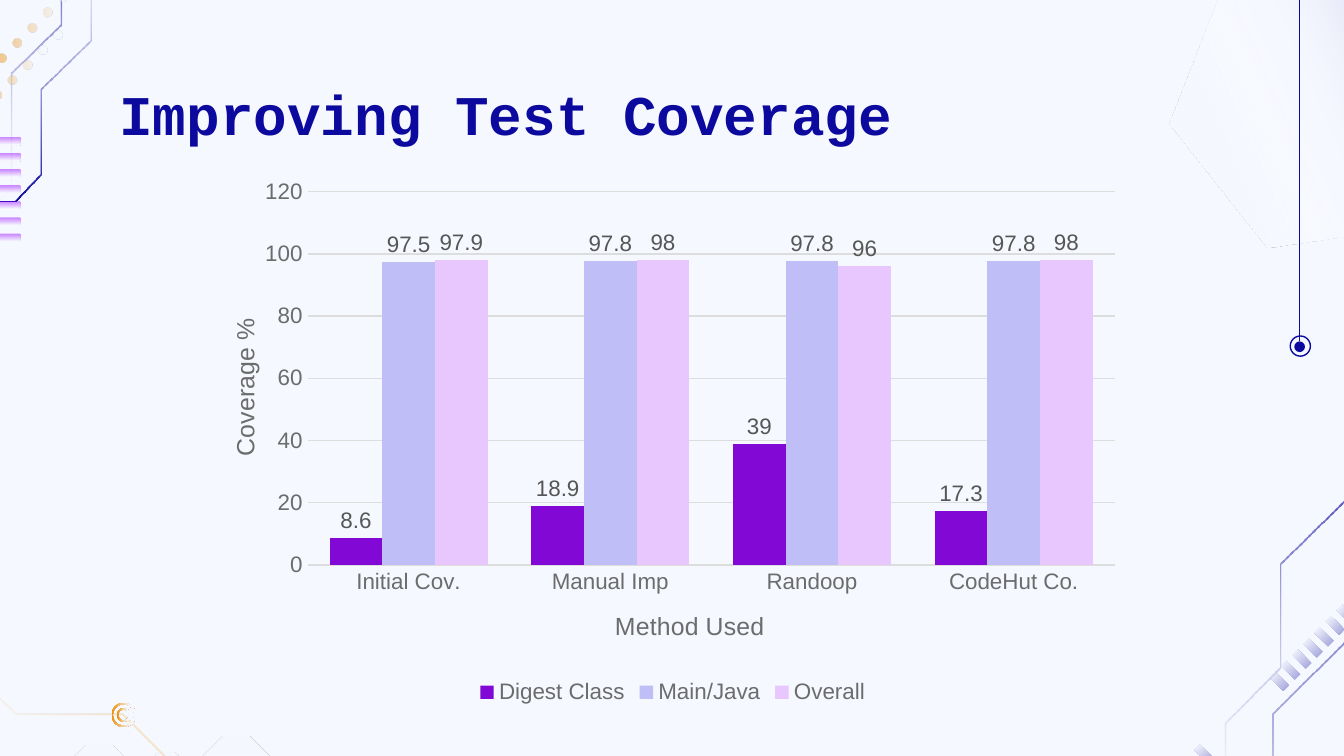
from math import cos, pi, sin

from lxml import etree
from pptx import Presentation
from pptx import util as u
from pptx.chart import data as chart_data
from pptx.dml.color import RGBColor
from pptx.enum import chart as chart_enum
from pptx.enum import shapes, text
from pptx.oxml import parse_xml
from pptx.oxml import ns

NAVY = RGBColor(0x0C, 0x0A, 0x9E)
PALE = RGBColor(0xF5, 0xF8, 0xFF)
WHITE = RGBColor(0xFF, 0xFF, 0xFF)
ORANGE = RGBColor(0xEB, 0x91, 0x09)
AMBER = RGBColor(0xFF, 0x99, 0x00)
VIOLET = RGBColor(0x99, 0x00, 0xFF)
PURPLE = RGBColor(0x82, 0x08, 0xD5)
LAVENDER = RGBColor(0xBF, 0xBE, 0xF7)
PINK = RGBColor(0xE7, 0xC7, 0xFD)
GRID = RGBColor(0xDD, 0xDD, 0xDD)
AXIS_GREY = RGBColor(0x6C, 0x6C, 0x6C)
LABEL_GREY = RGBColor(0x56, 0x56, 0x56)

NAVY_FADE = [(0, NAVY, 100), (100, WHITE, 0)]
NAVY_SOFT = [(0, NAVY, 37), (100, WHITE, 37)]
VIOLET_SOFT = [(0, VIOLET, 47), (100, WHITE, 47)]
ORANGE_FADE = [(0, ORANGE, 100), (40, AMBER, 41), (100, WHITE, 0)]
ORANGE_RING = [(0, ORANGE, 100), (78, PALE, 100), (100, PALE, 100)]
ORANGE_SOFT = [(0, ORANGE, 47), (78, PALE, 47), (100, PALE, 47)]
GLASS = [(0, PALE, 100), (22, PALE, 100), (45, WHITE, 0), (100, NAVY, 50)]


def put_text(frame, words, font="Arial", size=12, color=AXIS_GREY, bold=False):
    para = frame.paragraphs[0]
    span = para.add_run()
    span.text = words
    span.font.name = font
    span.font.size = u.Pt(size)
    span.font.bold = bold
    span.font.color.rgb = color


def add_outline(contours, stops, angle):
    scaled = [[(u.Inches(x), u.Inches(y)) for x, y in contour] for contour in contours]
    builder = page.shapes.build_freeform(*scaled[0][0])
    builder.add_line_segments(scaled[0][1:], close=True)
    for contour in scaled[1:]:
        builder.move_to(*contour[0])
        builder.add_line_segments(contour[1:], close=True)
    shape = builder.convert_to_shape()
    shape.shadow.inherit = False
    shape.line.fill.background()
    shape.fill.background()
    marks = "".join(
        f'<a:gs pos="{place * 1000}"><a:srgbClr val="{color}"><a:alpha val="{alpha * 1000}"/></a:srgbClr></a:gs>'
        for place, color, alpha in stops
    )
    gradient = parse_xml(
        f'<a:gradFill {ns.nsdecls("a")} rotWithShape="1"><a:gsLst>{marks}</a:gsLst>'
        f'<a:lin ang="{int(angle * 60000)}" scaled="0"/></a:gradFill>'
    )
    properties = shape.element.spPr
    properties.replace(properties.find(ns.qn("a:noFill")), gradient)


deck = Presentation()
deck.slide_width = u.Inches(10)
deck.slide_height = u.Inches(5.625)
page = deck.slides.add_slide(deck.slide_layouts[6])
page.background.fill.solid()
page.background.fill.fore_color.rgb = PALE

hexagon = [(8.7, 0.92), (9.43, 1.84), (10.59, 1.67), (11.03, 0.58), (10.29, -0.35), (9.13, -0.17)]
add_outline([hexagon], GLASS, 336.5)

wire = page.shapes.add_connector(
    shapes.MSO_CONNECTOR.STRAIGHT, u.Inches(9.67), u.Inches(-2.34), u.Inches(9.67), u.Inches(2.54)
)
wire.line.color.rgb = NAVY
wire.line.width = u.Pt(0.75)
etree.SubElement(wire.element.spPr, ns.qn("a:effectLst"))
for left, top, size, filled in [(9.6, 2.5, 0.15, False), (9.63, 2.54, 0.08, True)]:
    node = page.shapes.add_shape(
        shapes.MSO_SHAPE.OVAL, u.Inches(left), u.Inches(top), u.Inches(size), u.Inches(size)
    )
    node.shadow.inherit = False
    if filled:
        node.fill.solid()
        node.fill.fore_color.rgb = NAVY
        node.line.fill.background()
    else:
        node.fill.background()
        node.line.color.rgb = NAVY
        node.line.width = u.Pt(0.75)

for x, y, radius, cut in [(0.74, 5.85, 0.3, 0.1), (1.24, 5.78, 0.18, 0.06), (1.76, 5.78, 0.3, 0.1)]:
    corners = [(-cut, -radius), (cut, -radius), (radius, -cut), (radius, cut),
               (cut, radius), (-cut, radius), (-radius, cut), (-radius, -cut)]
    add_outline([[(x + dx, y + dy) for dx, dy in corners]], GLASS, 90)

traces = [
    ([(11.01, 3.08), (10.08, 4.01), (10.08, 4.69), (9.46, 5.31), (9.46, 5.62), (9.37, 5.71), (9.37, 5.88),
      (8.99, 6.26), (8.99, 6.61), (8.74, 6.85), (8.74, 7.1), (8.12, 7.72), (7.18, 7.72), (6.64, 8.27)],
     0.01, NAVY_FADE, 90),
    ([(10.87, 3.06), (10.36, 3.57), (10.15, 3.57), (9.52, 4.19), (9.52, 4.96), (9.11, 5.37), (9.11, 5.72),
      (8.71, 6.11), (7.96, 6.11), (7.68, 6.39)], 0.01, NAVY_FADE, 90),
    ([(2.84, 6.18), (2.44, 5.77), (1.38, 5.77), (0.92, 5.31), (0.13, 5.31), (-0.12, 5.07), (-0.12, 4.63),
      (-0.26, 4.63)], -0.01, ORANGE_FADE, 135),
    ([(0.99, -0.65), (0.65, -0.65), (0.45, -0.45), (0.45, 0.18), (0.08, 0.54), (0.08, 1.39), (-0.24, 1.71)],
     0.01, NAVY_FADE, 90),
    ([(1, -0.87), (0.67, -0.55), (0.67, 0.3), (0.3, 0.66), (0.3, 1.29), (0.11, 1.49), (-0.24, 1.49)],
     0.01, NAVY_FADE, 270),
]
for route, shift, stops, angle in traces:
    other_side = [(x + shift, y + 0.01) for x, y in reversed(route)]
    add_outline([route + other_side], stops, angle)

for x, y in [(8.89, 5.54)] + [(9.45 + 0.083 * step, 5 - 0.083 * step) for step in range(7)]:
    tile = [(x + 0.04, y), (x, y + 0.04), (x + 0.1, y + 0.14), (x + 0.14, y + 0.1)]
    add_outline([tile], NAVY_SOFT, 225)

for step in range(7):
    top = 1.02 + 0.12 * step
    add_outline([[(-0.18, top), (0.15, top), (0.15, top + 0.06), (-0.18, top + 0.06)]], VIOLET_SOFT, 90)

circle_groups = [
    ([(0.92, 5.32, 0.09), (0.92, 5.32, 0.08)], ORANGE_RING),
    ([(0.92, 5.32, 0.05), (0.92, 5.32, 0.04)], ORANGE_RING),
]
for x, y in [(0.43, 0.26), (0.58, -0.13)]:
    circle_groups.append(([(x - 0.112 * step, y + 0.112 * step, 0.035) for step in range(6)], ORANGE_SOFT))
turns = [2 * pi * step / 24 for step in range(24)]
for circles, stops in circle_groups:
    add_outline([[(x + r * cos(a), y + r * sin(a)) for a in turns] for x, y, r in circles], stops, 0)

title = page.shapes.add_textbox(u.Inches(0.79), u.Inches(0.49), u.Inches(8.43), u.Inches(0.63))
title.text_frame.word_wrap = True
title.text_frame.vertical_anchor = text.MSO_ANCHOR.TOP
title.text_frame.margin_top = u.Inches(0.1)
title.text_frame.margin_bottom = u.Inches(0.1)
put_text(title.text_frame, "Improving Test Coverage", font="Courier New", size=30, color=NAVY, bold=True)

coverage = chart_data.CategoryChartData()
coverage.categories = ["Initial Cov.", "Manual Imp", "Randoop", "CodeHut Co."]
coverage.add_series("Digest Class", [8.6, 18.9, 39, 17.3])
coverage.add_series("Main/Java", [97.5, 97.8, 97.8, 97.8])
coverage.add_series("Overall", [97.9, 98, 96, 98])
chart = page.shapes.add_chart(
    chart_enum.XL_CHART_TYPE.COLUMN_CLUSTERED,
    u.Inches(1.67), u.Inches(1.11), u.Inches(6.67), u.Inches(4.17), coverage,
).chart
chart.has_title = False
chart.font.name = "Arial"
chart.font.size = u.Pt(12)
chart.font.color.rgb = AXIS_GREY
chart.has_legend = True
chart.legend.position = chart_enum.XL_LEGEND_POSITION.BOTTOM
chart.legend.include_in_layout = False

for axis, words in [(chart.category_axis, "Method Used"), (chart.value_axis, "Coverage %")]:
    put_text(axis.axis_title.text_frame, words, size=13.3)
    axis.major_tick_mark = chart_enum.XL_TICK_MARK.NONE
    axis.minor_tick_mark = chart_enum.XL_TICK_MARK.NONE
chart.category_axis.format.line.color.rgb = GRID
chart.category_axis.format.line.width = u.Pt(0.75)
chart.value_axis.format.line.fill.background()
chart.value_axis.major_gridlines.format.line.color.rgb = GRID
chart.value_axis.major_gridlines.format.line.width = u.Pt(0.75)
chart.value_axis.minimum_scale = 0
chart.value_axis.maximum_scale = 120
chart.value_axis.major_unit = 20

plot = chart.plots[0]
plot.gap_width = 83
plot.overlap = 0
plot.vary_by_categories = False
for series, color in zip(plot.series, [PURPLE, LAVENDER, PINK]):
    series.format.fill.solid()
    series.format.fill.fore_color.rgb = color
    labels = series.data_labels
    labels.show_value = True
    labels.position = chart_enum.XL_LABEL_POSITION.OUTSIDE_END
    labels.font.name = "Arial"
    labels.font.size = u.Pt(12)
    labels.font.color.rgb = LABEL_GREY

plot_area = chart.element.find(".//" + ns.qn("c:plotArea"))
for old_layout in plot_area.findall(ns.qn("c:layout")):
    plot_area.remove(old_layout)
layout = etree.Element(ns.qn("c:layout"))
manual = etree.SubElement(layout, ns.qn("c:manualLayout"))
for tag, value in [("layoutTarget", "inner"), ("xMode", "edge"), ("yMode", "edge"),
                   ("x", "0.093"), ("y", "0.076"), ("w", "0.9"), ("h", "0.666")]:
    etree.SubElement(manual, ns.qn("c:" + tag)).set("val", value)
plot_area.insert(0, layout)

deck.save("out.pptx")
